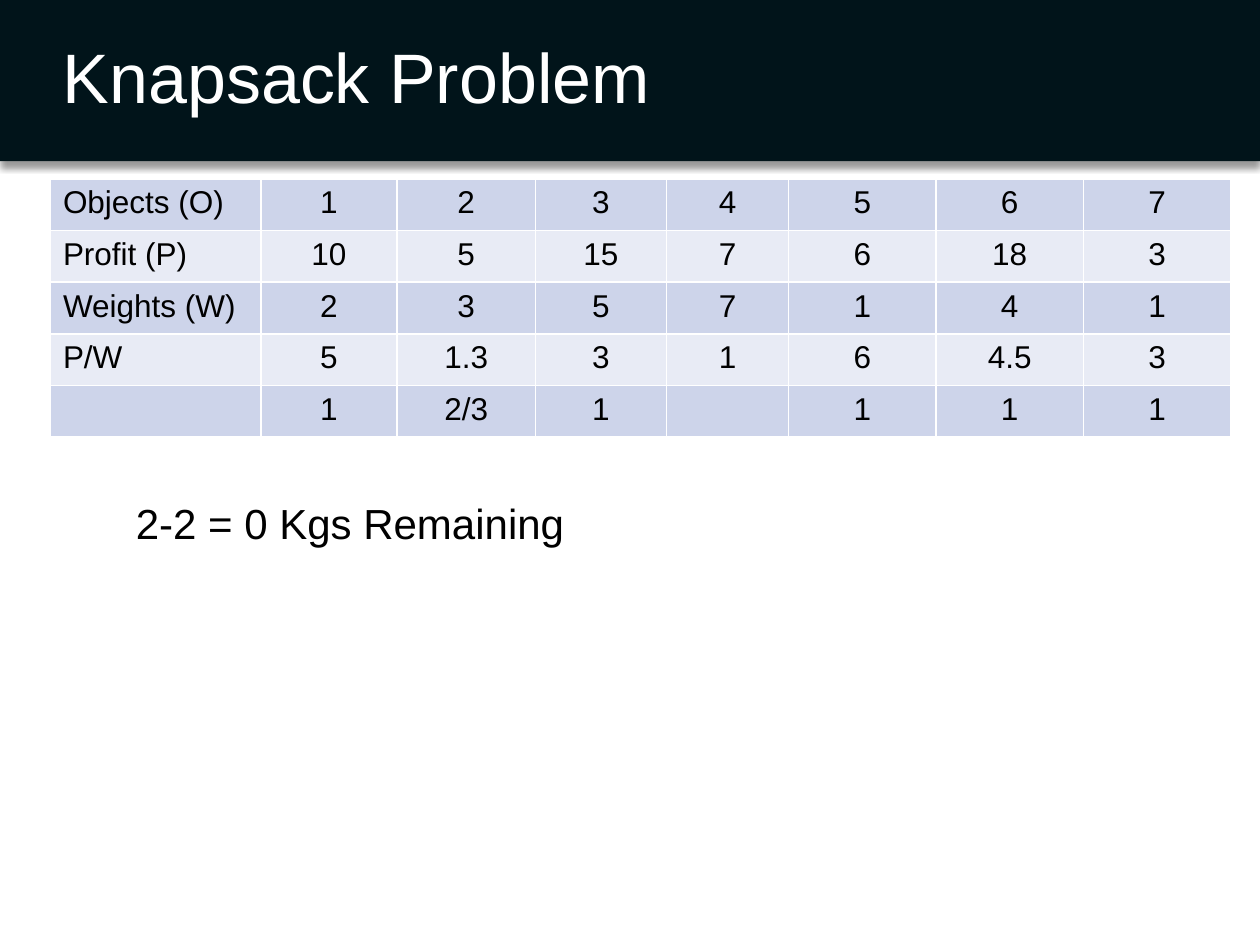
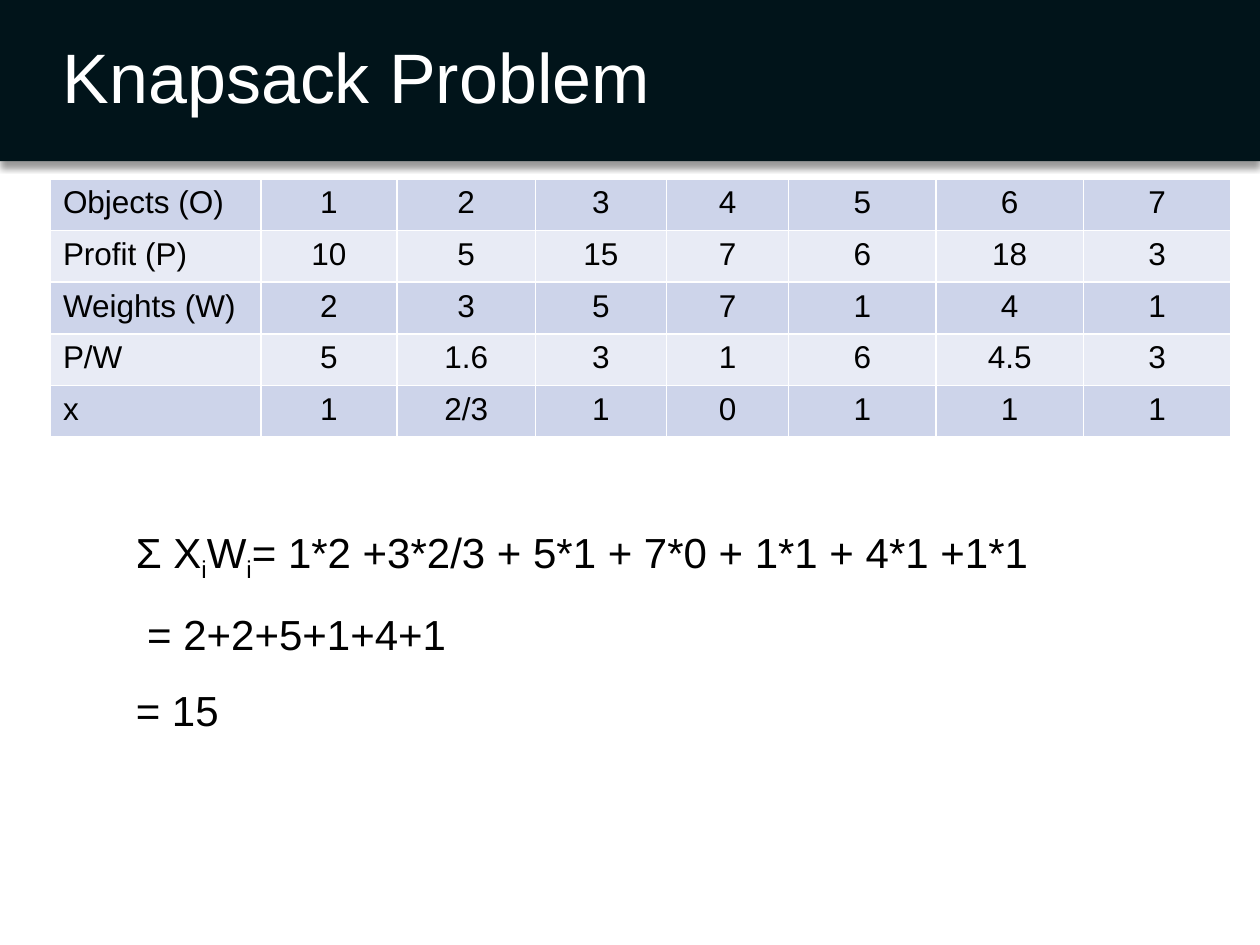
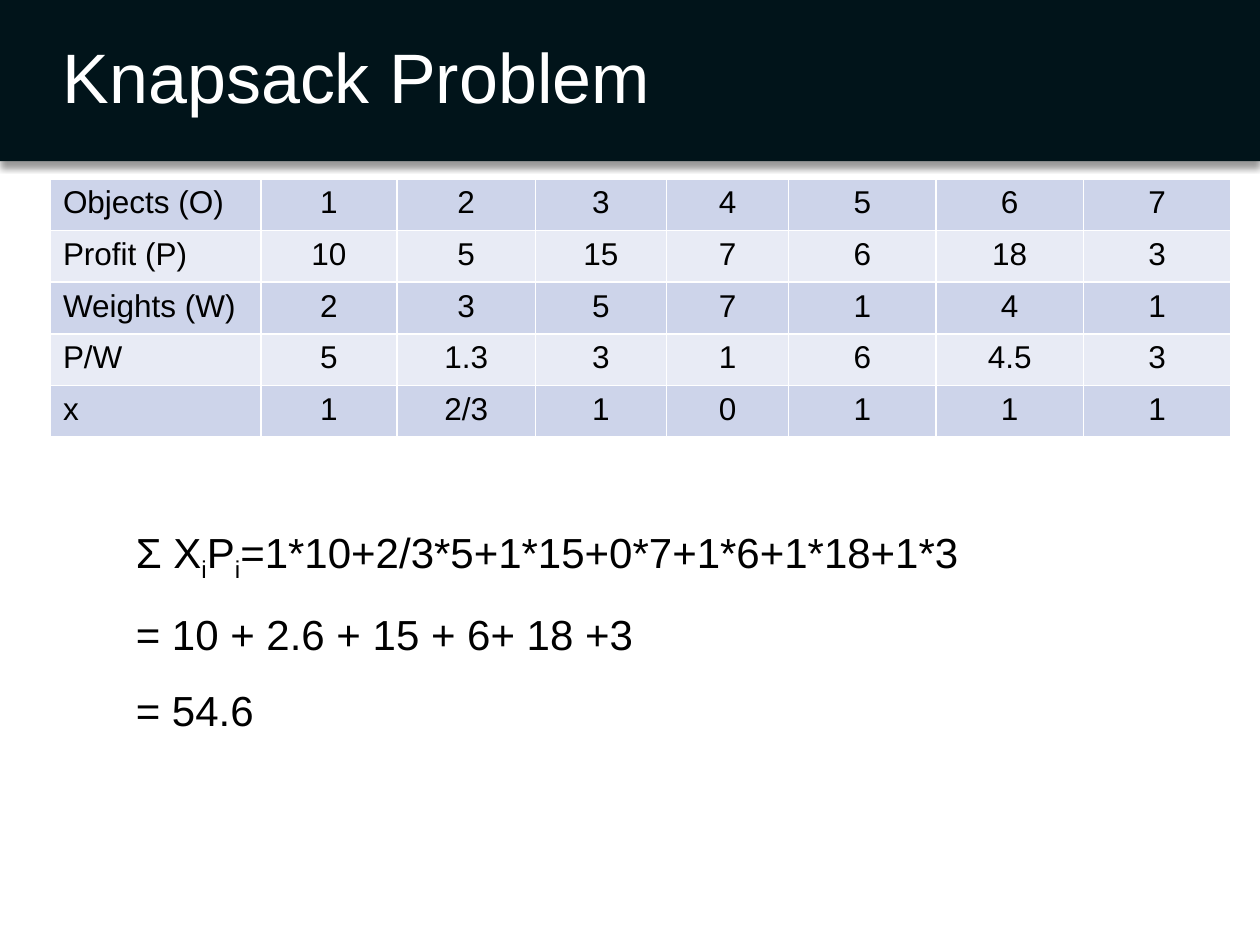
"""Builds three slides that work through the fractional knapsack problem."""
from dataclasses import dataclass

from lxml import etree
from pptx import Presentation
from pptx import util as u
from pptx.dml import color
from pptx.enum import shapes, text
from pptx.oxml import ns


@dataclass(frozen=True)
class Theme:
    font: str = "Arial"
    band: str = "01141A"
    light: str = "FFFFFF"
    ink: str = "000000"
    row_fills: tuple = ("CDD4EA", "E8EBF5")
    title_size: int = 40
    body_size: int = 24
    cell_size: int = 18
    border_width: int = 1


SLIDE_WIDTH, SLIDE_HEIGHT, BAND_HEIGHT = 10, 7.5, 1.28
LEFT, TABLE_TOP, ROW_HEIGHT = 0.4, 1.42, 0.41
COLUMN_WIDTHS = (1.67, 1.08, 1.1, 1.04, 0.97, 1.17, 1.17, 1.17)
WORK_LEFT, WORK_TOP = 0.98, 3.9
SUBSCRIPT = -25000

OBJECT_ROWS = [
    ("Objects (O)", "1", "2", "3", "4", "5", "6", "7"),
    ("Profit (P)", "10", "5", "15", "7", "6", "18", "3"),
    ("Weights (W)", "2", "3", "5", "7", "1", "4", "1"),
]


def child(parent, tag, **attributes):
    return etree.SubElement(parent, ns.qn(tag), attributes)


class KnapsackDeck:
    def __init__(self, theme):
        self.theme = theme
        self.deck = Presentation()
        self.deck.slide_width = u.Inches(SLIDE_WIDTH)
        self.deck.slide_height = u.Inches(SLIDE_HEIGHT)
        self.page = None

    def new_page(self, title):
        self.page = self.deck.slides.add_slide(self.deck.slide_layouts[6])
        self.band()
        box = self.text_box(LEFT, 0, SLIDE_WIDTH - LEFT, BAND_HEIGHT)
        box.vertical_anchor = text.MSO_ANCHOR.MIDDLE
        para = box.paragraphs[0]
        para.line_spacing = 0.9
        self.span(para, title, self.theme.title_size, self.theme.light)

    def band(self):
        band = self.page.shapes.add_shape(
            shapes.MSO_SHAPE.RECTANGLE, 0, 0, u.Inches(SLIDE_WIDTH), u.Inches(BAND_HEIGHT))
        band.fill.solid()
        band.fill.fore_color.rgb = color.RGBColor.from_string(self.theme.band)
        band.line.fill.background()
        effects = child(band._element.spPr, "a:effectLst")
        shadow = child(effects, "a:outerShdw", blurRad=str(u.Pt(4)), dist=str(u.Pt(3)),
                       dir="5400000", algn="t", rotWithShape="0")
        tint = child(shadow, "a:srgbClr", val=self.theme.ink)
        child(tint, "a:alpha", val="40000")

    def text_box(self, left, top, width, height):
        box = self.page.shapes.add_textbox(
            u.Inches(left), u.Inches(top), u.Inches(width), u.Inches(height)).text_frame
        box.word_wrap = True
        return box

    def span(self, para, words, size, ink, baseline=0):
        span = para.add_run()
        span.text = words
        span.font.name = self.theme.font
        span.font.size = u.Pt(size)
        span.font.color.rgb = color.RGBColor.from_string(ink)
        if baseline:
            span._r.get_or_add_rPr().set("baseline", str(baseline))

    def table(self, rows):
        frame = self.page.shapes.add_table(
            len(rows), len(COLUMN_WIDTHS), u.Inches(LEFT), u.Inches(TABLE_TOP),
            u.Inches(sum(COLUMN_WIDTHS)), u.Inches(ROW_HEIGHT * len(rows)))
        table = frame.table
        for column, width in zip(table.columns, COLUMN_WIDTHS):
            column.width = u.Inches(width)
        for row_number, values in enumerate(rows):
            table.rows[row_number].height = u.Inches(ROW_HEIGHT)
            fill = self.theme.row_fills[row_number % 2]
            for column_number, value in enumerate(values):
                self.cell(table.cell(row_number, column_number), value, fill, column_number > 0)

    def cell(self, cell, value, fill, centred):
        properties = cell._tc.get_or_add_tcPr()
        for side in ("a:lnL", "a:lnR", "a:lnT", "a:lnB"):
            line = child(properties, side, w=str(u.Pt(self.theme.border_width)))
            child(child(line, "a:solidFill"), "a:srgbClr", val=self.theme.light)
        cell.fill.solid()
        cell.fill.fore_color.rgb = color.RGBColor.from_string(fill)
        para = cell.text_frame.paragraphs[0]
        if centred:
            para.alignment = text.PP_ALIGN.CENTER
        if value:
            self.span(para, value, self.theme.cell_size, self.theme.ink)

    def working(self, width, height, lines, spacing=1.0, indents=()):
        box = self.text_box(WORK_LEFT, WORK_TOP, width, height)
        box.auto_size = text.MSO_AUTO_SIZE.SHAPE_TO_FIT_TEXT
        for number, spans in enumerate(lines):
            para = box.paragraphs[0] if number == 0 else box.add_paragraph()
            para.line_spacing = spacing
            if number in indents:
                para._p.get_or_add_pPr().set("marL", str(u.Inches(0.09)))
            for words, baseline in spans:
                self.span(para, words, self.theme.body_size, self.theme.ink, baseline)

    def total(self, factor, products, *steps, indents=()):
        formula = [("Σ X", 0), ("i", SUBSCRIPT), (factor, 0), ("i", SUBSCRIPT), (products, 0)]
        lines = [formula] + [[(step, 0)] for step in steps]
        self.working(8.33, 1.84, lines, spacing=1.5, indents=indents)


def main():
    slides = KnapsackDeck(Theme())

    def knapsack_page(second_ratio, solution):
        slides.new_page("Knapsack Problem")
        ratios = ("P/W", "5", second_ratio, "3", "1", "6", "4.5", "3")
        slides.table(OBJECT_ROWS + [ratios, solution])

    knapsack_page("1.3", ("", "1", "2/3", "1", "", "1", "1", "1"))
    slides.working(5.56, 0.5, [[("2-2 = 0 Kgs Remaining", 0)]])

    chosen = ("x", "1", "2/3", "1", "0", "1", "1", "1")
    knapsack_page("1.6", chosen)
    slides.total("W", "= 1*2 +3*2/3 + 5*1 + 7*0 + 1*1 + 4*1 +1*1",
                 "= 2+2+5+1+4+1", "= 15", indents=(1,))

    knapsack_page("1.3", chosen)
    slides.total("P", "=1*10+2/3*5+1*15+0*7+1*6+1*18+1*3",
                 "= 10 + 2.6 + 15 + 6+ 18 +3", "= 54.6")

    slides.deck.save("out.pptx")


if __name__ == "__main__":
    main()
